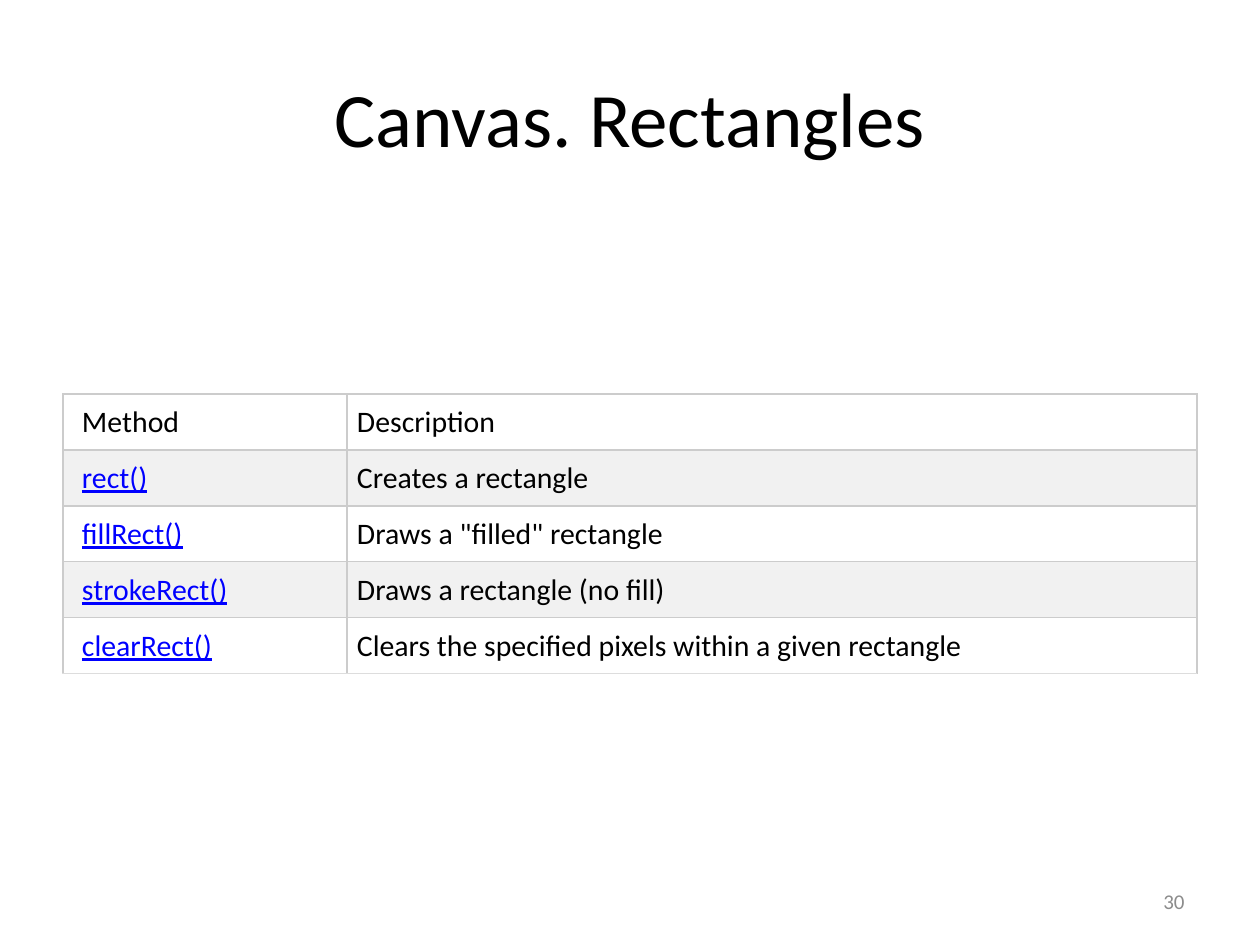
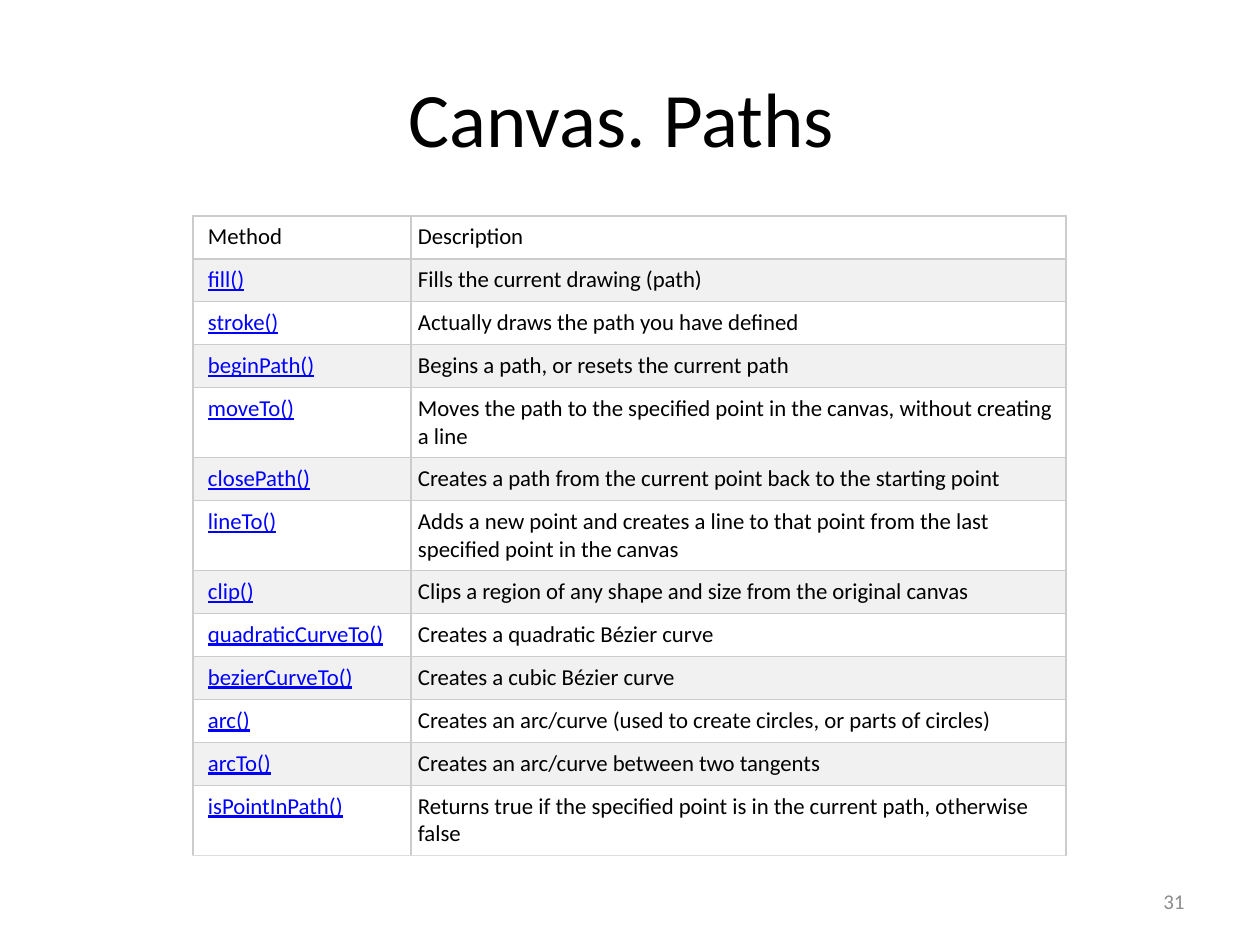
from lxml import etree
from pptx import Presentation
from pptx.dml.color import RGBColor
from pptx.enum.text import MSO_ANCHOR, PP_ALIGN
from pptx.oxml.ns import qn
from pptx.util import Emu, Pt

CENTER, RIGHT = PP_ALIGN.CENTER, PP_ALIGN.RIGHT
MIDDLE, TOP = MSO_ANCHOR.MIDDLE, MSO_ANCHOR.TOP
TITLE_ONLY = 5
PX_PER_INCH = 126

FONT = "Calibri"
BLACK, WHITE, STRIPE = "000000", "FFFFFF", "F1F1F1"
LINK, BORDER, LAST_BORDER, MUTED = "0000FF", "CCCCCC", "DDDDDD", "8C8C8C"

RECTANGLES = [
    ("Method", "Description"),
    ("rect()", "Creates a rectangle"),
    ("fillRect()", 'Draws a "filled" rectangle'),
    ("strokeRect()", "Draws a rectangle (no fill)"),
    ("clearRect()", "Clears the specified pixels within a given rectangle"),
]
PATHS = [
    ("Method", "Description"),
    ("fill()", "Fills the current drawing (path)"),
    ("stroke()", "Actually draws the path you have defined"),
    ("beginPath()", "Begins a path, or resets the current path"),
    ("moveTo()", "Moves the path to the specified point in the canvas, without creating a line"),
    ("closePath()", "Creates a path from the current point back to the starting point"),
    ("lineTo()", "Adds a new point and creates a line to that point from the last "
                 "specified point in the canvas"),
    ("clip()", "Clips a region of any shape and size from the original canvas"),
    ("quadraticCurveTo()", "Creates a quadratic Bézier curve"),
    ("bezierCurveTo()", "Creates a cubic Bézier curve"),
    ("arc()", "Creates an arc/curve (used to create circles, or parts of circles)"),
    ("arcTo()", "Creates an arc/curve between two tangents"),
    ("isPointInPath()", "Returns true if the specified point is in the current path, otherwise false"),
]
PATH_ROW, PATH_TALL_ROW = 43, 70
TWO_LINE_METHODS = {"moveTo()", "lineTo()", "isPointInPath()"}


def px(n):
    """Turn pixels into EMU."""
    return Emu(round(n * 914400 / PX_PER_INCH))


def rgb(value):
    """Turn a hex string into a colour."""
    return RGBColor.from_string(value)


def place(sp, left, top, width, height):
    """Set the position and size of a shape in pixels."""
    sp.left, sp.top, sp.width, sp.height = map(px, (left, top, width, height))


def write(tf, text, size, color, align=None, underline=None):
    """Put one formatted paragraph in a text frame."""
    tf.word_wrap = True
    p = tf.paragraphs[0]
    p.text = text
    p.alignment = align
    p.font.name, p.font.size = FONT, Pt(size)
    p.font.color.rgb = rgb(color)
    p.font.underline = underline


def add_titled_slide(prs, title, number):
    """Add a slide with its title and slide number."""
    s = prs.slides.add_slide(prs.slide_layouts[TITLE_ONLY])
    place(s.shapes.title, 63, 38, 1134, 157)
    write(s.shapes.title.text_frame, title, 44, BLACK, CENTER)
    s.shapes.title.text_frame.vertical_anchor = MIDDLE
    sp = s.shapes.add_textbox(px(903), px(876), px(294), px(50))
    write(sp.text_frame, str(number), 12, MUTED, RIGHT)
    sp.text_frame.vertical_anchor = MIDDLE
    return s


def set_borders(cell, bottom):
    """Draw thin lines on the four sides of a cell."""
    tc_pr = cell._tc.get_or_add_tcPr()
    for side, color in (("L", BORDER), ("R", BORDER), ("T", BORDER), ("B", bottom)):
        ln = etree.SubElement(tc_pr, qn(f"a:ln{side}"), w=str(Pt(0.75)))
        fill = etree.SubElement(ln, qn("a:solidFill"))
        etree.SubElement(fill, qn("a:srgbClr"), val=color)


def add_method_table(s, rows, left, top, widths, heights, size, inset, indent):
    """Add a striped table of methods and their descriptions."""
    frame = s.shapes.add_table(len(rows), len(widths), px(left), px(top),
                               px(sum(widths)), px(sum(heights)))
    table = frame.table
    for column, width in zip(table.columns, widths):
        column.width = px(width)
    for i, (texts, height) in enumerate(zip(rows, heights)):
        table.rows[i].height = px(height)
        for j, text in enumerate(texts):
            cell = table.cell(i, j)
            is_link = i > 0 and j == 0
            set_borders(cell, LAST_BORDER if i == len(rows) - 1 else BORDER)
            cell.fill.solid()
            cell.fill.fore_color.rgb = rgb(STRIPE if i % 2 else WHITE)
            cell.margin_top = cell.margin_right = cell.margin_bottom = px(inset)
            cell.margin_left = px(inset if j else indent)
            cell.vertical_anchor = TOP
            write(cell.text_frame, text, size, LINK if is_link else BLACK, underline=is_link)


def main():
    """Build the slides and save them."""
    prs = Presentation()
    prs.slide_width, prs.slide_height = px(1260), px(945)

    s = add_titled_slide(prs, "Canvas. Rectangles", 30)
    add_method_table(s, RECTANGLES, 63, 394, (284, 850), [56] * len(RECTANGLES),
                     size=17, inset=10, indent=19)

    s = add_titled_slide(prs, "Canvas. Paths ", 31)
    heights = [PATH_TALL_ROW if method in TWO_LINE_METHODS else PATH_ROW for method, _ in PATHS]
    add_method_table(s, PATHS, 193, 216, (218, 655), heights,
                     size=13, inset=7, indent=15)

    prs.save("out.pptx")


if __name__ == "__main__":
    main()
